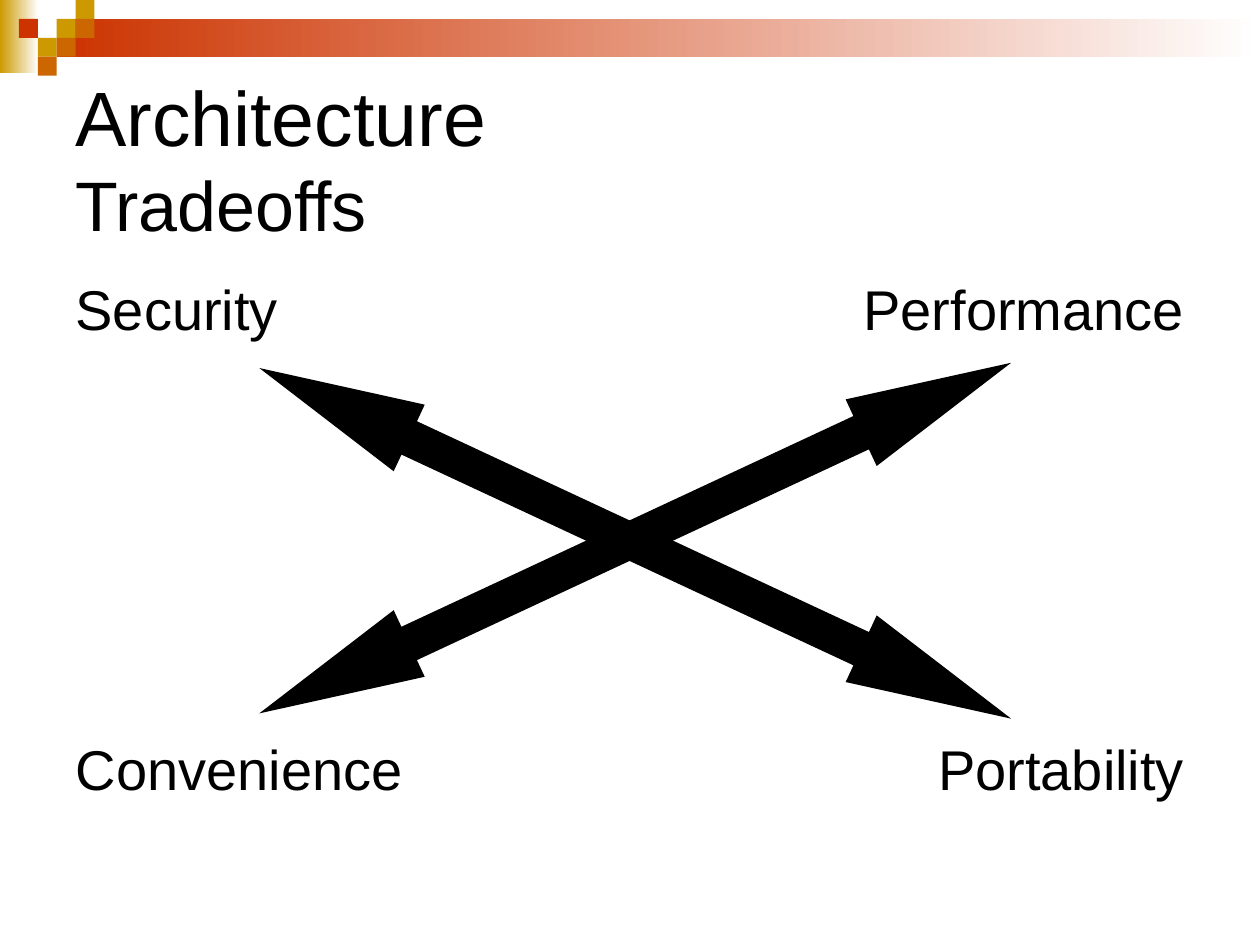
from pptx import Presentation
from pptx.dml.color import RGBColor
from pptx.enum.shapes import MSO_SHAPE
from pptx.enum.text import MSO_ANCHOR, PP_ALIGN
from pptx.util import Pt

RECT = MSO_SHAPE.RECTANGLE
ARROW = MSO_SHAPE.LEFT_RIGHT_ARROW
TOP, MIDDLE, BOTTOM = MSO_ANCHOR.TOP, MSO_ANCHOR.MIDDLE, MSO_ANCHOR.BOTTOM
LEFT, RIGHT = PP_ALIGN.LEFT, PP_ALIGN.RIGHT

BLACK = RGBColor(0x00, 0x00, 0x00)
WHITE = RGBColor(0xFF, 0xFF, 0xFF)
GOLD = RGBColor(0xCC, 0x99, 0x00)
ORANGE = RGBColor(0xCC, 0x66, 0x00)
RED = RGBColor(0xCC, 0x33, 0x00)

UNIT = 10.8
TILES = [
    (3, 1, GOLD), (4, 0, GOLD), (4, 1, ORANGE), (2, 2, GOLD),
    (1, 1, RED), (3, 2, ORANGE), (2, 3, ORANGE),
]
LABELS = [["Security", "Performance"], ["Convenience", "Portability"]]


def assign(target, values):
    for name, value in values.items():
        setattr(target, name, value)


class Painter:
    """Draws styled elements on the current slide."""

    def __init__(self, slide):
        self.slide = slide
        self.font = {"name": "Arial", "bold": False}

    def label(self, para, text, size):
        run = para.add_run()
        run.text = text
        assign(run.font, {**self.font, "size": Pt(size)})
        run.font.color.rgb = BLACK

    def shape(self, kind, box, color=None):
        item = self.slide.shapes.add_shape(kind, *map(Pt, box))
        item.shadow.inherit = False
        item.line.fill.background()
        if color is not None:
            item.fill.solid()
            item.fill.fore_color.rgb = color
        return item

    def fade(self, box, color):
        fill = self.shape(RECT, box).fill
        fill.gradient()
        fill.gradient_angle = 0
        for stop, shade in zip(fill.gradient_stops, (color, WHITE)):
            stop.color.rgb = shade

    def arrow(self, box, angle):
        item = self.shape(ARROW, box, BLACK)
        item.rotation = angle
        item.adjustments[0] = 0.5
        item.adjustments[1] = 2.25

    def title(self, box, lines):
        frame = self.slide.shapes.add_textbox(*map(Pt, box)).text_frame
        assign(frame, {"word_wrap": True, "vertical_anchor": MIDDLE})
        para = frame.paragraphs[0]
        for index, (text, size) in enumerate(lines):
            if index:
                para.add_line_break()
            self.label(para, text, size)

    def table(self, box, rows):
        grid = self.slide.shapes.add_table(
            len(rows), len(rows[0]), *map(Pt, box)).table
        assign(grid, {"first_row": False, "horz_banding": False})
        for row, anchor, texts in zip(grid.rows, (TOP, BOTTOM), rows):
            for cell, align, text in zip(row.cells, (LEFT, RIGHT), texts):
                cell.fill.background()
                cell.vertical_anchor = anchor
                para = cell.text_frame.paragraphs[0]
                assign(para, {"alignment": align, "space_before": Pt(8)})
                self.label(para, text, 32)


def main():
    deck = Presentation()
    assign(deck, {"slide_width": Pt(720), "slide_height": Pt(540)})
    page = Painter(deck.slides.add_slide(deck.slide_layouts[6]))
    page.fade((0, 0, 22, 42), GOLD)
    page.fade((3 * UNIT, UNIT, 720 - 3 * UNIT, 2 * UNIT), RED)
    for col, row, color in TILES:
        page.shape(RECT, (col * UNIT, row * UNIT, UNIT, UNIT), color)
    page.title((36, 36, 648, 108), [("Architecture ", 44), ("Tradeoffs", 40)])
    page.table((36, 156, 648, 306), LABELS)
    for top, angle in ((286.5, 335), (289.5, 25)):
        page.arrow((126, top, 474, 42), angle)
    deck.save("out.pptx")


if __name__ == "__main__":
    main()
